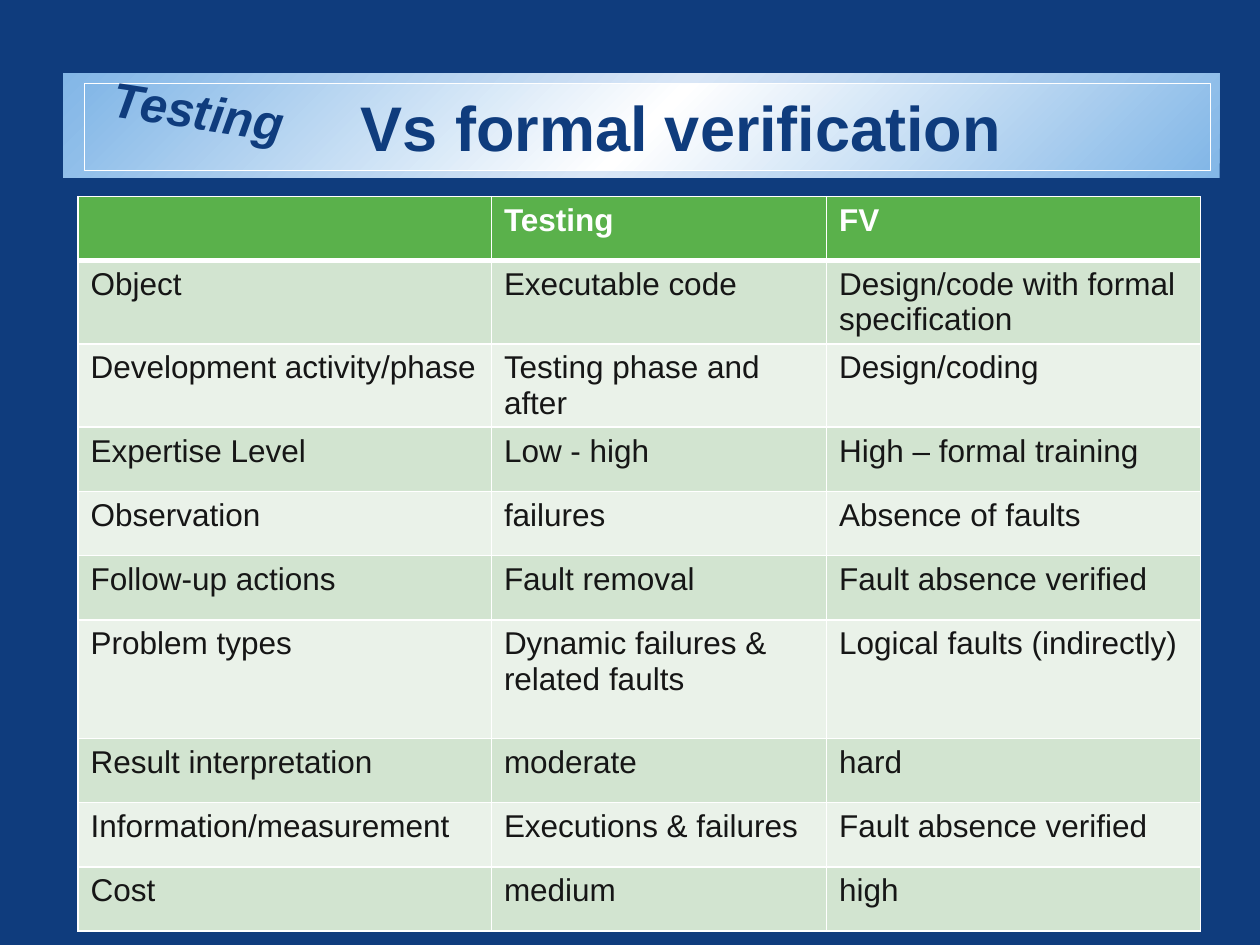
from copy import deepcopy
from lxml import etree
from pptx import Presentation
from pptx.dml.color import RGBColor
from pptx.enum import shapes, text
from pptx.oxml import ns
from pptx.util import Inches, Pt

NAVY, WHITE, SKY, INK = "0F3C7D", "FFFFFF", "83B7E7", "161616"
HEAD, DARK, LIGHT = "5AB14B", "D2E4D0", "EAF2E9"
ROWS = [
    ("", "Testing", "FV"),
    ("Object", "Executable code", "Design/code with formal specification"),
    ("Development activity/phase", "Testing phase and after", "Design/coding"),
    ("Expertise Level", "Low - high", "High – formal training"),
    ("Observation", "failures", "Absence of faults"),
    ("Follow-up actions", "Fault removal", "Fault absence verified"),
    ("Problem types", "Dynamic failures & related faults", "Logical faults (indirectly)"),
    ("Result interpretation", "moderate", "hard"),
    ("Information/measurement", "Executions & failures", "Fault absence verified"),
    ("Cost", "medium", "high"),
]
WIDTHS = [3.28, 2.66, 2.97]
TALL = {1: 0.66, 2: 0.66, 6: 0.94}


def paint(item, color):
    item.solid()
    item.fore_color.rgb = RGBColor.from_string(color)


def style(para, size, color, bold=False, italic=False):
    font = para.font
    font.name, font.size = "Arial", Pt(size)
    font.bold, font.italic = bold, italic
    font.color.rgb = RGBColor.from_string(color)


def panel(slide, kind, box, middle):
    shape = slide.shapes.add_shape(kind, *map(Inches, box))
    shape.shadow.inherit = False
    fill = shape.fill
    fill.gradient()
    fill.gradient_angle = 315
    stops = shape._element.spPr.find(ns.qn("a:gradFill")).find(ns.qn("a:gsLst"))
    stops.insert(1, deepcopy(stops[0]))
    for stop, place, color in zip(fill.gradient_stops, (0, 0.5, 1), (SKY, middle, SKY)):
        stop.position = place
        stop.color.rgb = RGBColor.from_string(color)
    shape.line.fill.background()
    return shape


def banner(slide, left, top, width, height):
    kinds = shapes.MSO_SHAPE
    back = panel(slide, kinds.ROUNDED_RECTANGLE, (left, top, width, height), "D9E6F6")
    back.adjustments[0] = 0
    front = panel(slide, kinds.RECTANGLE,
                  (left + 0.17, top + 0.08, width - 0.24, height - 0.14), WHITE)
    paint(front.line.fill, WHITE)
    front.line.width = Pt(0.5)

    tag = slide.shapes.add_textbox(*map(Inches, (left + 0.24, top + 0.01, 1.67, 0.57)))
    tag.rotation = 8.7
    tag.text_frame.word_wrap = True
    para = tag.text_frame.paragraphs[0]
    para.text = "Testing"
    para.alignment = text.PP_ALIGN.CENTER
    style(para, 28, NAVY, True, True)

    title = slide.shapes.title
    title.left, title.top, title.width, title.height = map(
        Inches, (left + 0.42, top + 0.17, 8.42, 0.5))
    slide.shapes._spTree.append(title._element)
    frame = title.text_frame
    frame.auto_size = text.MSO_AUTO_SIZE.NONE
    frame.vertical_anchor = text.MSO_ANCHOR.MIDDLE
    frame.margin_left = Inches(0.65)
    para = frame.paragraphs[0]
    para.text = "Vs formal verification"
    para.alignment = text.PP_ALIGN.CENTER
    style(para, 36, NAVY, True)


def border(cell, base):
    props = cell._tc.get_or_add_tcPr()
    for side, width in zip("LRTB", (1, 1, 1, base)):
        line = etree.SubElement(props, ns.qn("a:ln" + side), w=str(Pt(width)))
        fill = etree.SubElement(line, ns.qn("a:solidFill"))
        etree.SubElement(fill, ns.qn("a:srgbClr"), val=WHITE)


def grid(slide, left, top, width, height):
    box = map(Inches, (left, top, width, height))
    table = slide.shapes.add_table(len(ROWS), len(WIDTHS), *box).table
    for col, span in zip(table.columns, WIDTHS):
        col.width = Inches(span)
    for r, words in enumerate(ROWS):
        table.rows[r].height = Inches(TALL.get(r, 0.51))
        shade = DARK if r % 2 else LIGHT
        for c, word in enumerate(words):
            cell = table.cell(r, c)
            border(cell, 1 if r else 3)
            paint(cell.fill, shade if r else HEAD)
            cell.text = word
            style(cell.text_frame.paragraphs[0], 18, INK if r else WHITE, not r)


deck = Presentation()
deck.slide_width, deck.slide_height = Inches(10), Inches(7.5)
slide = deck.slides.add_slide(deck.slide_layouts[5])
paint(slide.background.fill, NAVY)
banner(slide, 0.5, 0.58, 9.18, 0.83)
grid(slide, 0.62, 1.56, sum(WIDTHS), 5.83)
deck.save("out.pptx")
